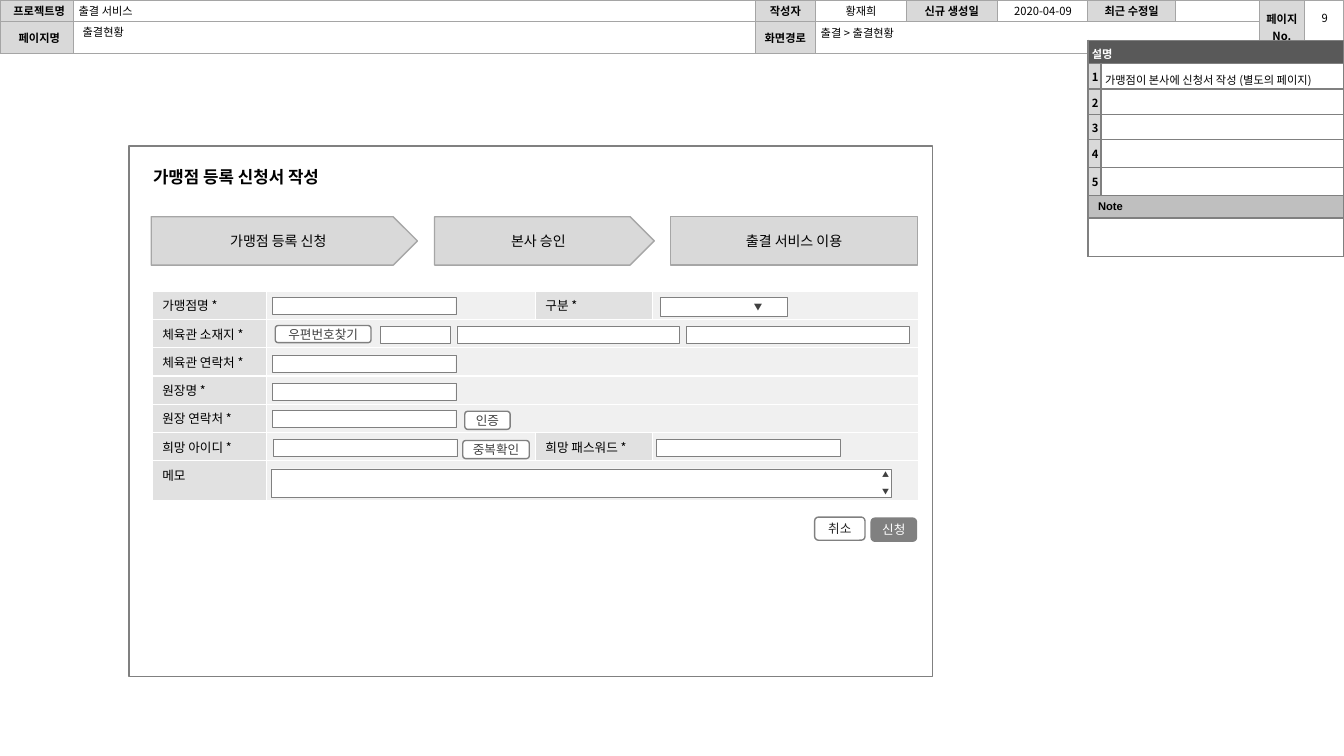
from lxml import etree
from pptx import Presentation
from pptx.dml.color import RGBColor
from pptx.enum.shapes import MSO_SHAPE
from pptx.enum.text import MSO_ANCHOR, PP_ALIGN
from pptx.oxml.ns import qn
from pptx.util import Inches, Pt

LEFT, CENTER, RIGHT = PP_ALIGN.LEFT, PP_ALIGN.CENTER, PP_ALIGN.RIGHT
TOP, MIDDLE = MSO_ANCHOR.TOP, MSO_ANCHOR.MIDDLE
RECTANGLE, ROUNDED = MSO_SHAPE.RECTANGLE, MSO_SHAPE.ROUNDED_RECTANGLE
PENTAGON = MSO_SHAPE.PENTAGON

FONT = "Noto Sans CJK KR"
BLACK, WHITE, GRAY, DARK = "000000", "FFFFFF", "808080", "404040"
LABEL = "D9D9D9"
NO_INSETS = (0, 0, 0, 0)
TEXT_INSETS = (0.04, 0.04, 0.04, 0.04)
BUTTON_INSETS = (0.04, 0.05, 0.04, 0.05)
DEFAULT_INSETS = (0.1, 0.05, 0.1, 0.05)


def color(value):
    return RGBColor.from_string(value)


class Wireframe:
    def __init__(self, page):
        self.page = page

    def set_text(self, frame, text, size, ink=BLACK, bold=False, align=LEFT, font=FONT):
        frame.text = text
        for para in frame.paragraphs:
            para.alignment = align
            if not para.runs:
                para._p.get_or_add_endParaRPr().set("sz", str(size * 100))
            for span in para.runs:
                span.font.size = Pt(size)
                span.font.bold = bold
                span.font.name = font
                span.font.color.rgb = color(ink)
                east_asian = etree.SubElement(span._r.get_or_add_rPr(), qn("a:ea"))
                east_asian.set("typeface", font)

    def inset(self, target, insets):
        (target.margin_left, target.margin_top,
         target.margin_right, target.margin_bottom) = map(Inches, insets)

    def label(self, place, text, size, insets=TEXT_INSETS, wrap=True, **style):
        box = self.page.shapes.add_textbox(*map(Inches, place))
        frame = box.text_frame
        frame.word_wrap = wrap
        self.inset(frame, insets)
        self.set_text(frame, text, size, **style)
        return frame

    def shape(self, kind, place, text="", size=9, fill=WHITE, line=GRAY,
              width=1, insets=BUTTON_INSETS, align=CENTER, **style):
        box = self.page.shapes.add_shape(kind, *map(Inches, place))
        box.shadow.inherit = False
        if fill:
            box.fill.solid()
            box.fill.fore_color.rgb = color(fill)
        else:
            box.fill.background()
        box.line.color.rgb = color(line)
        box.line.width = Pt(width)
        if text:
            frame = box.text_frame
            frame.word_wrap = True
            frame.vertical_anchor = MIDDLE
            self.inset(frame, insets)
            self.set_text(frame, text, size, align=align, **style)

    def field(self, left, top, width, height=0.17):
        self.shape(RECTANGLE, (left, top, width, height), width=0.25)

    def button(self, place, text, ink=DARK, fill=WHITE):
        self.shape(ROUNDED, place, text, fill=fill, ink=ink)

    def table(self, left, top, columns, rows, merges=()):
        grid = self.page.shapes.add_table(
            len(rows), len(columns), Inches(left), Inches(top),
            Inches(sum(columns)), Inches(sum(rows))).table
        grid.first_row = grid.horz_banding = False
        for column, width in zip(grid.columns, columns):
            column.width = Inches(width)
        for row, height in zip(grid.rows, rows):
            row.height = Inches(height)
        for first_row, first_column, last_row, last_column in merges:
            grid.cell(first_row, first_column).merge(grid.cell(last_row, last_column))
        return grid

    def cell(self, cell, text, fill, border, size=8, insets=NO_INSETS,
             anchor=MIDDLE, **style):
        self.inset(cell, insets)
        cell.vertical_anchor = anchor
        properties = cell._tc.get_or_add_tcPr()
        for side in ("a:lnL", "a:lnR", "a:lnT", "a:lnB"):
            edge = etree.SubElement(properties, qn(side), w=str(Pt(1)))
            paint = etree.SubElement(edge, qn("a:solidFill"))
            etree.SubElement(paint, qn("a:srgbClr"), val=border)
        cell.fill.solid()
        cell.fill.fore_color.rgb = color(fill)
        self.set_text(cell.text_frame, text, size, **style)


def draw_header(wire):
    texts = [
        ["프로젝트명", "출결 서비스", "작성자", "황재희", "신규 생성일", "",
         "최근 수정일", "", "페이지 No.", ""],
        ["페이지명", "", "화면경로", "", "", "", "", "", "", ""],
    ]
    grid = wire.table(0, 0, [0.73, 6.76, 0.6, 0.9, 0.9, 0.9, 0.87, 0.83, 0.45, 0.39],
                      [0.21, 0.32], [(0, 8, 1, 8), (0, 9, 1, 9), (1, 3, 1, 7)])
    for row, line in enumerate(texts):
        for column, text in enumerate(line):
            heading = column % 2 == 0
            wire.cell(grid.cell(row, column), text, LABEL if heading else WHITE, "A5A5A5",
                      insets=(0.05 if column < 2 else 0, 0, 0, 0), bold=heading,
                      align=LEFT if column == 1 else CENTER)
    wire.label((0.78, 0.21, 6.64, 0.21), "출결현황", 8)
    wire.label((10, 0, 0.69, 0.19), "2020-04-09", 8, (0, 0.04, 0, 0.04), align=CENTER)
    wire.label((12.95, 0.01, 0.38, 0.29), "9", 8, (0, 0.12, 0, 0.04), align=CENTER)
    wire.label((8.1, 0.22, 4.32, 0.21), "출결 > 출결현황", 8)


def draw_form(wire):
    wire.shape(RECTANGLE, (1.28, 1.45, 7.97, 5.26), fill=None)
    wire.label((1.42, 1.61, 2.06, 0.3), "가맹점 등록 신청서 작성", 12,
               DEFAULT_INSETS, wrap=False, bold=True)
    for kind, left, width, text in [(PENTAGON, 1.5, 2.64, "가맹점 등록 신청"),
                                    (PENTAGON, 4.31, 2.18, "본사 승인"),
                                    (RECTANGLE, 6.65, 2.45, "출결 서비스 이용")]:
        wire.shape(kind, (left, 2.15, width, 0.48), text, 10, LABEL, "A6A6A6",
                   insets=DEFAULT_INSETS)

    rows = [("가맹점명 *", "구분 *"), ("체육관 소재지 *", ""), ("체육관 연락처 *", ""),
            ("원장명 *", ""), ("원장 연락처 *", ""), ("희망 아이디 *", "희망 패스워드 *"),
            ("메모", "")]
    merges = [(row, 1, row, 3) for row, pair in enumerate(rows) if not pair[1]]
    grid = wire.table(1.51, 2.89, [1.13, 2.67, 1.16, 2.64], [0.28] * 6 + [0.4], merges)
    for row, (first, second) in enumerate(rows):
        for column, text in enumerate((first, "", second, "")):
            wire.cell(grid.cell(row, column), text, "E1E1E1" if text else "F0F0F0", WHITE,
                      size=9, insets=DEFAULT_INSETS, anchor=TOP)

    for top in (2.95, 3.52, 3.8, 4.07):
        wire.field(2.7, top, 1.82)
    for left, width in [(3.77, 0.7), (4.53, 2.21), (6.81, 2.21)]:
        wire.field(left, 3.24, width)
    for left in (2.71, 6.51):
        wire.field(left, 4.36, 1.82)
    wire.field(2.69, 4.65, 6.15, 0.28)
    arrows = wire.label((8.65, 4.62, 0.27, 0.35), "▲\n▼", 5, DEFAULT_INSETS,
                        wrap=False, ink=DARK)
    arrows.paragraphs[1].space_before = Pt(6)
    wire.shape(RECTANGLE, (6.55, 2.95, 1.26, 0.19), "▼", 6, insets=(0, 0.05, 0.25, 0.05),
               align=RIGHT, ink=DARK)
    wire.button((2.73, 3.23, 0.95, 0.17), "우편번호찾기")
    wire.button((4.61, 4.08, 0.45, 0.18), "인증")
    wire.button((4.59, 4.37, 0.66, 0.18), "중복확인")
    wire.button((8.08, 5.13, 0.5, 0.23), "취소", "262626")
    wire.button((8.64, 5.14, 0.45, 0.23), "신청", WHITE, GRAY)


def draw_description(wire):
    grid = wire.table(10.79, 0.4, [0.13, 2.41],
                      [0.23, 0.25, 0.25, 0.25, 0.28, 0.28, 0.22, 0.38],
                      [(row, 0, row, 1) for row in (0, 6, 7)])
    title = grid.cell(0, 0)
    wire.cell(title, "설명", "595959", GRAY, insets=(0.04, 0.05, 0.1, 0.05),
              anchor=TOP, ink=WHITE, bold=True)
    title.text_frame.paragraphs[0].space_before = Pt(1.6)
    for number in range(1, 6):
        wire.cell(grid.cell(number, 0), str(number), LABEL, GRAY,
                  insets=BUTTON_INSETS, bold=True, align=CENTER)
        text = "가맹점이 본사에 신청서 작성 (별도의 페이지)" if number == 1 else ""
        detail = grid.cell(number, 1)
        wire.cell(detail, text, WHITE, GRAY, insets=TEXT_INSETS)
        detail.text_frame.paragraphs[0].line_spacing = 1.2
    wire.cell(grid.cell(6, 0), "Note", "BFBFBF", GRAY, insets=(0.1, 0.04, 0.04, 0.04),
              bold=True, font="Arial")
    wire.cell(grid.cell(7, 0), "", WHITE, GRAY)


def main():
    deck = Presentation()
    deck.slide_width, deck.slide_height = Inches(13.33), Inches(7.5)
    wire = Wireframe(deck.slides.add_slide(deck.slide_layouts[6]))
    draw_header(wire)
    draw_form(wire)
    draw_description(wire)
    deck.save("out.pptx")


if __name__ == "__main__":
    main()
